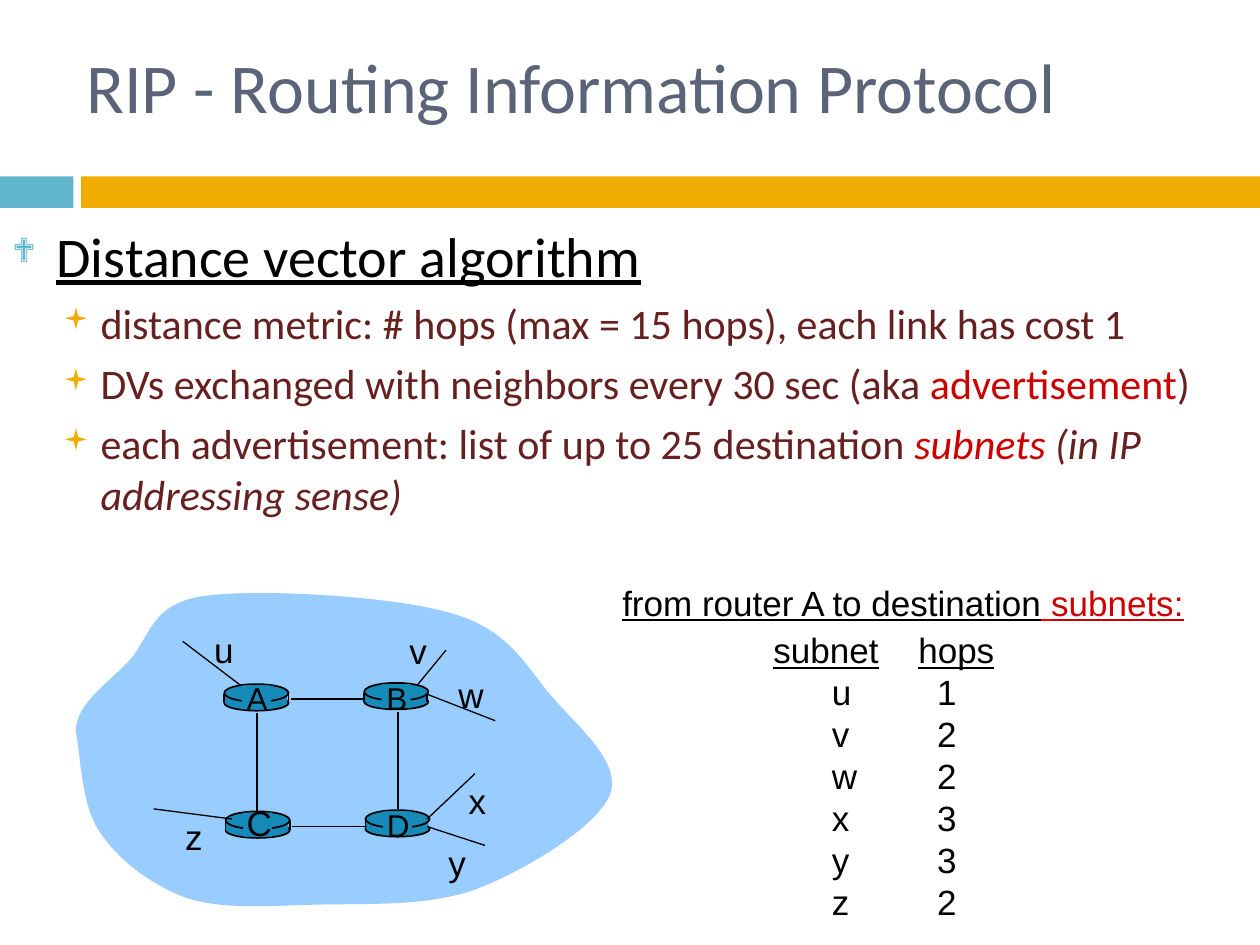
"""Build the RIP slide: bullets, a four-router network and a hop table."""
from lxml.etree import SubElement
from pptx import Presentation
from pptx.dml.color import RGBColor as RGB
from pptx.enum.shapes import MSO_CONNECTOR as CONNECTOR, MSO_SHAPE as SHAPE
from pptx.enum.text import MSO_ANCHOR as ANCHOR, PP_ALIGN as ALIGN
from pptx.oxml.ns import qn
from pptx.util import Inches, Pt

COLORS = {
    "title": "5A6378", "teal": "60B5CC", "amber": "F0AD00", "black": "000000",
    "maroon": "672020", "red": "CC0000", "bright": "FF0000",
    "cloud": "99CCFF", "router": "168BBA",
}

presentation = Presentation()
presentation.slide_width, presentation.slide_height = Inches(10), Inches(7.5)
slide = presentation.slides.add_slide(presentation.slide_layouts[6])
shapes = slide.shapes
UNIT = presentation.slide_width / 100


def add_shape(kind, box, fill, outlined=False):
    shape = shapes.add_shape(kind, *(round(value * UNIT) for value in box))
    shape.shadow.inherit = False
    shape.fill.solid()
    shape.fill.fore_color.rgb = RGB.from_string(COLORS[fill])
    if outlined:
        shape.line.color.rgb = RGB.from_string(COLORS["black"])
        shape.line.width = Pt(1)
    else:
        shape.line.fill.background()


def add_text(box, paragraphs, size, font="Arial", wrap=False):
    frame = shapes.add_textbox(*(round(value * UNIT) for value in box)).text_frame
    frame.word_wrap = wrap
    for index, runs in enumerate(paragraphs):
        paragraph = frame.add_paragraph() if index else frame.paragraphs[0]
        for text, color, style in runs:
            run = paragraph.add_run()
            run.text = text
            run.font.name, run.font.size = font, Pt(size)
            run.font.color.rgb = RGB.from_string(COLORS[color])
            run.font.underline = "u" in style
            run.font.italic = "i" in style
    return frame


add_shape(SHAPE.RECTANGLE, (0, 14, 5.83, 2.5), "teal")
add_shape(SHAPE.RECTANGLE, (6.45, 14, 93.55, 2.5), "amber")
title = add_text((5.87, 1.65, 89.4, 10.3),
                 [[("RIP - Routing Information Protocol", "title", "")]], 40, "Calibri", True)
title.vertical_anchor = ANCHOR.MIDDLE

body = add_text((0, 17.05, 100, 26.4), [
    [("Distance vector algorithm", "black", "u")],
    [("distance metric: # hops (max = 15 hops), each link has cost 1", "maroon", "")],
    [("DVs exchanged with neighbors every 30 sec (aka ", "maroon", ""),
     ("advertisement", "red", ""), (")", "maroon", "")],
    [("each advertisement: list of up to 25 destination ", "maroon", ""),
     ("subnets ", "red", "i"), ("(in IP addressing sense)", "maroon", "i")],
], 24, "Calibri", True)
body.paragraphs[0].runs[0].font.size = Pt(32)
for index, paragraph in enumerate(body.paragraphs):
    margin, hanging, color, percent, mark = (
        (7, 3, "amber", 70, "▪") if index else (3.5, 3.5, "teal", 60, "❖"))
    properties = paragraph._p.get_or_add_pPr()
    properties.set("marL", str(round(margin * UNIT)))
    properties.set("indent", str(round(-hanging * UNIT)))
    bullet_color = SubElement(properties, qn("a:buClr"))
    SubElement(bullet_color, qn("a:srgbClr"), val=COLORS[color])
    SubElement(properties, qn("a:buSzPct"), val=str(percent * 1000))
    SubElement(properties, qn("a:buFont"), typeface="Wingdings", charset="2")
    SubElement(properties, qn("a:buChar"), char=mark)
    if index:
        paragraph.level = 1
        paragraph.space_before = Pt(5.5)

cloud_left, cloud_top, cloud_width, cloud_height = 6, 46.7, 43.4, 25.6
cloud_start = (6, 58)
cloud_curves = [
    ((6.1, 55.8), (8.5, 54.3), (10.2, 52.5)),
    ((11.9, 50.7), (11.9, 47.9), (16.2, 47.3)),
    ((20.5, 46.7), (31.3, 47.3), (35.9, 48.7)),
    ((40.5, 50), (41.8, 53), (43.9, 55.4)),
    ((46, 57.8), (49.4, 60.6), (48.4, 63.1)),
    ((47.4, 65.6), (41.8, 69), (38, 70.5)),
    ((34.1, 72), (29, 71.7), (25.1, 71.8)),
    ((21.3, 71.9), (17.8, 72.2), (14.9, 71.3)),
    ((12.1, 70.3), (9.4, 68.3), (7.9, 66)),
    ((6.4, 63.8), (6.4, 59.7), (6, 58)),
]
builder = shapes.build_freeform(*(round(value * UNIT) for value in cloud_start))
builder.add_line_segments([[round(value * UNIT) for value in curve[-1]] for curve in cloud_curves])
cloud = builder.convert_to_shape()
cloud.left, cloud.top = round(cloud_left * UNIT), round(cloud_top * UNIT)
cloud.width, cloud.height = round(cloud_width * UNIT), round(cloud_height * UNIT)
outline = cloud._element.find(".//" + qn("a:path"))
for child in list(outline):
    outline.remove(child)
outline.set("w", str(cloud.width))
outline.set("h", str(cloud.height))
for tag, points in [("a:moveTo", [cloud_start])] + [("a:cubicBezTo", c) for c in cloud_curves]:
    segment = SubElement(outline, qn(tag))
    for x, y in points:
        SubElement(segment, qn("a:pt"), x=str(round((x - cloud_left) * UNIT)),
                   y=str(round((y - cloud_top) * UNIT)))
SubElement(outline, qn("a:close"))
cloud.shadow.inherit = False
cloud.fill.solid()
cloud.fill.fore_color.rgb = RGB.from_string(COLORS["cloud"])
cloud.line.fill.background()

lines = [
    (31.6, 56.5, 31.6, 64.2, 1), (20.4, 56.6, 20.4, 64.5, 1),
    (29.1, 65.6, 23.2, 65.6, 1), (29, 55.5, 23.1, 55.5, 1),
    (33.9, 55.1, 39.3, 57.2, 0.75), (33.1, 54.4, 35.4, 51.6, 0.75),
    (33.9, 65, 37.7, 61.4, 0.75), (33.9, 65.6, 38.5, 67.1, 0.75),
    (19.1, 54.4, 14.5, 50.9, 0.75), (18.4, 65, 12.2, 64.2, 0.75),
]
routers = [("A", 17.8, 54.3, 18, 53.4, (0, 5.1)), ("B", 28.9, 54.2, 18, 53.4, (0, 5)),
           ("C", 17.9, 64.4, 20, 63.1, (0, 5.1)), ("D", 29, 64.3, 18, 63.5, (0,))]
for name, left, top, size, label_top, sides in routers:
    add_shape(SHAPE.OVAL, (left, top + 0.9, 5.1, 1.2), "router", True)
    add_shape(SHAPE.RECTANGLE, (left, top + 0.8, 5, 0.7), "router")
    add_shape(SHAPE.OVAL, (left, top, 5.1, 1.4), "router", True)
    add_shape(SHAPE.RECTANGLE, (left + 1.4, top + 0.1, 2.3, 1.9), "router")
    lines += [(left + x, top + 0.8, left + x, top + 1.5, 1) for x in sides]

for x1, y1, x2, y2, width in lines:
    line = shapes.add_connector(CONNECTOR.STRAIGHT, *(round(v * UNIT) for v in (x1, y1, x2, y2)))
    line.line.color.rgb = RGB.from_string(COLORS["black"])
    line.line.width = Pt(width)
    SubElement(line._element.spPr, qn("a:effectLst"))

for name, left, top, size, label_top, sides in routers:
    label = add_text((left + 0.7, label_top, 3.8, size * 0.22), [[(name, "black", "")]], size)
    label.paragraphs[0].alignment = ALIGN.CENTER

for name, left, top in [("u", 16, 49.4), ("v", 31.5, 49.5), ("w", 35.4, 53),
                        ("x", 36.2, 61.4), ("y", 34.6, 66.3), ("z", 13.7, 64.2)]:
    add_text((left, top, 3.5, 4.4), [[(name, "black", "")]], 20)

hops = {"u": 1, "v": 2, "w": 2, "x": 3, "y": 3, "z": 2}
hop_list = add_text((60.4, 49.4, 19.6, 27.9), [
    [("subnet", "black", "u"), ("\t", "black", ""), ("hops", "black", "u")],
    *([(f"\t{subnet}\t{count}", "black", "")] for subnet, count in hops.items()),
], 20, wrap=True)
for index, paragraph in enumerate(hop_list.paragraphs):
    tab_list = SubElement(paragraph._p.get_or_add_pPr(), qn("a:tabLst"))
    for position in (4.65, 13) if index else (11.5,):
        SubElement(tab_list, qn("a:tab"), pos=str(round(position * UNIT)), algn="l")

add_text((48.4, 45.65, 46.8, 4.4), [[("from router A to destination", "black", "u"),
                                   (" ", "bright", "u"), ("subnets:", "red", "u")]], 20)

presentation.save("out.pptx")
